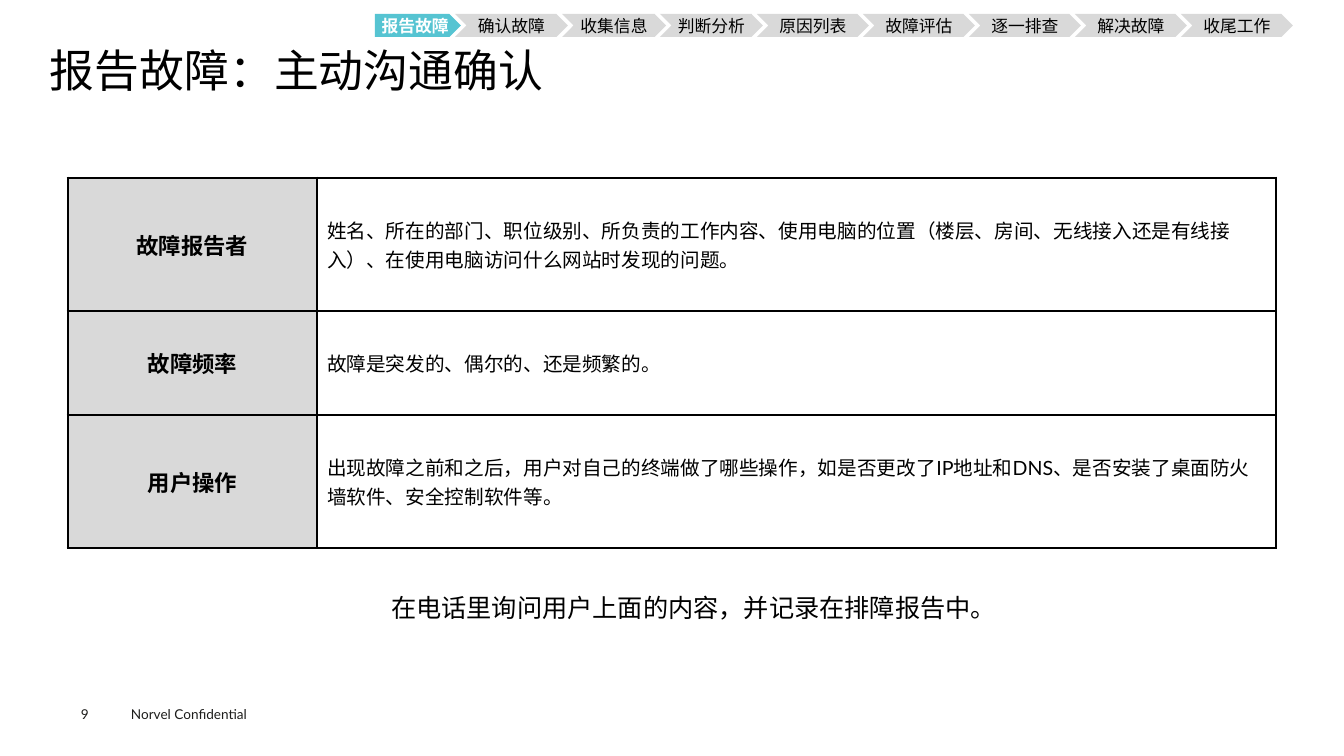
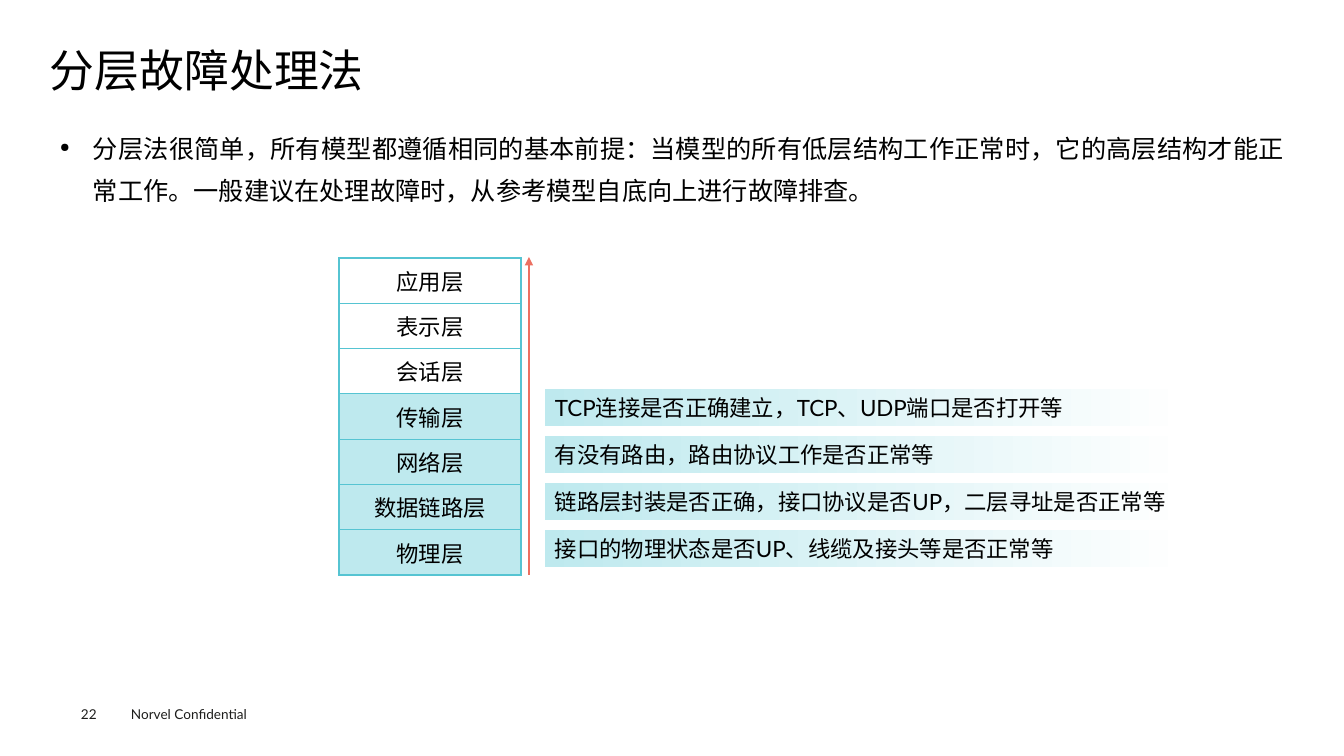
"""Build two training slides on network troubleshooting."""
from dataclasses import dataclass

from lxml import etree
from pptx import Presentation
from pptx import util as u
from pptx.dml.color import RGBColor
from pptx.enum import shapes, text
from pptx.oxml import ns


@dataclass(frozen=True)
class Theme:
    font: str = "Lato"
    black: str = "000000"
    white: str = "FFFFFF"
    ink: str = "1D1D1B"
    grey: str = "D9D9D9"
    teal: str = "56C4D2"
    pale: str = "BEE9EE"
    red: str = "EC7061"
    title: float = 32
    body: float = 18
    label: float = 16
    detail: float = 14
    step: float = 12
    footer: float = 9.7


theme = Theme()
SCALE = u.Inches(1) / 100.8
CENTER = text.PP_ALIGN.CENTER
MIDDLE = text.MSO_ANCHOR.MIDDLE


def px(*lengths):
    return [u.Emu(round(length * SCALE)) for length in lengths]


def write(frame, words, size, color=theme.black, bold=False, align=None, inset=None):
    frame.word_wrap = True
    if inset is not None:
        frame.margin_left = frame.margin_right = inset
        frame.margin_top = frame.margin_bottom = inset
    frame.text = words
    para = frame.paragraphs[0]
    para.alignment = align
    for span in para.runs:
        span.font.name = theme.font
        span.font.size = u.Pt(size)
        span.font.bold = bold
        span.font.color.rgb = RGBColor.from_string(color)
    return para


deck = Presentation()
deck.slide_width, deck.slide_height = px(1344, 756)

pages = []
for number, heading in ((9, "报告故障：主动沟通确认"), (22, "分层故障处理法")):
    page = deck.slides.add_slide(deck.slide_layouts[6])
    box = page.shapes.add_textbox(*px(121, 701, 161, 27))
    write(box.text_frame, "Norvel Confidential", theme.footer, theme.ink)
    box = page.shapes.add_textbox(*px(81, 706, 55, 16))
    write(box.text_frame, str(number), theme.footer, theme.ink, inset=0)
    box = page.shapes.add_textbox(*px(50, 49, 1245, 54))
    write(box.text_frame, heading, theme.title, inset=0).line_spacing = 0.9
    pages.append(page)
report_page, layer_page = pages

steps = ["报告故障", "确认故障", "收集信息", "判断分析", "原因列表",
         "故障评估", "逐一排查", "解决故障", "收尾工作"]
widths = [86, 113, 104, 103] + [112] * 5
left = 375
for index, (step, width) in enumerate(zip(steps, widths)):
    active = index == 0
    kind = shapes.MSO_SHAPE.PENTAGON if active else shapes.MSO_SHAPE.CHEVRON
    arrow = report_page.shapes.add_shape(kind, *px(left, 14, width, 23))
    arrow.shadow.inherit = False
    arrow.fill.solid()
    arrow.fill.fore_color.rgb = RGBColor.from_string(theme.teal if active else theme.grey)
    arrow.line.fill.background()
    arrow.text_frame.vertical_anchor = MIDDLE
    write(arrow.text_frame, step, theme.step, theme.white if active else theme.black,
          active, CENTER, inset=0)
    left += width - 6

questions = [
    ("故障报告者", "姓名、所在的部门、职位级别、所负责的工作内容、使用电脑的位置（楼层、房间、"
     "无线接入还是有线接入）、在使用电脑访问什么网站时发现的问题。"),
    ("故障频率", "故障是突发的、偶尔的、还是频繁的。"),
    ("用户操作", "出现故障之前和之后，用户对自己的终端做了哪些操作，如是否更改了IP地址和DNS、"
     "是否安装了桌面防火墙软件、安全控制软件等。"),
]
question_table = report_page.shapes.add_table(3, 2, *px(68, 178, 1208, 370)).table
for column, width in zip(question_table.columns, px(249, 959)):
    column.width = width
for row, height, (topic, detail) in zip(question_table.rows, px(133, 104, 133), questions):
    row.height = height
    write(row.cells[0].text_frame, topic, theme.label, bold=True, align=CENTER)
    write(row.cells[1].text_frame, detail, theme.detail)

box = report_page.shapes.add_textbox(*px(361, 587, 665, 72))
write(box.text_frame, "在电话里询问用户上面的内容，并记录在排障报告中。", theme.body, align=CENTER)

box = layer_page.shapes.add_textbox(*px(50, 116, 1245, 538))
para = write(box.text_frame, "分层法很简单，所有模型都遵循相同的基本前提：当模型的所有低层结构工作正常时，"
             "它的高层结构才能正常工作。一般建议在处理故障时，从参考模型自底向上进行故障排查。",
             theme.body, align=text.PP_ALIGN.JUSTIFY)
para.line_spacing = 1.4
indent, = px(33)
properties = para._p.get_or_add_pPr()
properties.set("marL", str(indent))
properties.set("indent", str(-indent))
etree.SubElement(properties, ns.qn("a:buSzPct"), val="50000")
etree.SubElement(properties, ns.qn("a:buChar"), char="●")

layers = ["应用层", "表示层", "会话层", "传输层", "网络层", "数据链路层", "物理层"]
layer_table = layer_page.shapes.add_table(len(layers), 1, *px(339, 258, 182, 317)).table
for row, layer in zip(layer_table.rows, layers):
    write(row.cells[0].text_frame, layer, theme.label, align=CENTER)

tables = (
    (question_table, theme.black, 2.25, lambda row, column: theme.grey if column == 0 else None),
    (layer_table, theme.teal, 1, lambda row, column: theme.pale if row >= 3 else None),
)
for table, border, outer, shade in tables:
    table.first_row = table.horz_banding = False
    last_row, last_column = len(table.rows) - 1, len(table.columns) - 1
    for r, row in enumerate(table.rows):
        for c, cell in enumerate(row.cells):
            cell.vertical_anchor = MIDDLE
            edges = {"L": c == 0, "R": c == last_column, "T": r == 0, "B": r == last_row}
            for side, outside in edges.items():
                edge = etree.SubElement(cell._tc.get_or_add_tcPr(), ns.qn(f"a:ln{side}"),
                                        w=str(u.Pt(outer if outside else 1)))
                paint = etree.SubElement(edge, ns.qn("a:solidFill"))
                etree.SubElement(paint, ns.qn("a:srgbClr"), val=border)
            color = shade(r, c)
            if color:
                cell.fill.solid()
                cell.fill.fore_color.rgb = RGBColor.from_string(color)
            else:
                cell.fill.background()

upward = layer_page.shapes.add_connector(shapes.MSO_CONNECTOR.STRAIGHT, *px(529, 575, 529, 257))
upward.line.width = u.Pt(2)
upward.line.color.rgb = RGBColor.from_string(theme.red)
etree.SubElement(upward.line._get_or_add_ln(), ns.qn("a:tailEnd"), type="triangle")
etree.SubElement(upward._element.spPr, ns.qn("a:effectLst"))

checks = ["TCP连接是否正确建立，TCP、UDP端口是否打开等",
          "有没有路由，路由协议工作是否正常等",
          "链路层封装是否正确，接口协议是否UP，二层寻址是否正常等",
          "接口的物理状态是否UP、线缆及接头等是否正常等"]
for index, check in enumerate(checks):
    bar = layer_page.shapes.add_shape(shapes.MSO_SHAPE.RECTANGLE,
                                      *px(545, 389 + 47 * index, 643, 37))
    bar.shadow.inherit = False
    bar.fill.gradient()
    bar.fill.gradient_angle = 0
    for stop, color in zip(bar.fill.gradient_stops, (theme.pale, theme.white)):
        stop.color.rgb = RGBColor.from_string(color)
    bar.line.fill.background()
    bar.text_frame.vertical_anchor = MIDDLE
    write(bar.text_frame, check, theme.label, align=text.PP_ALIGN.LEFT)

deck.save("out.pptx")
